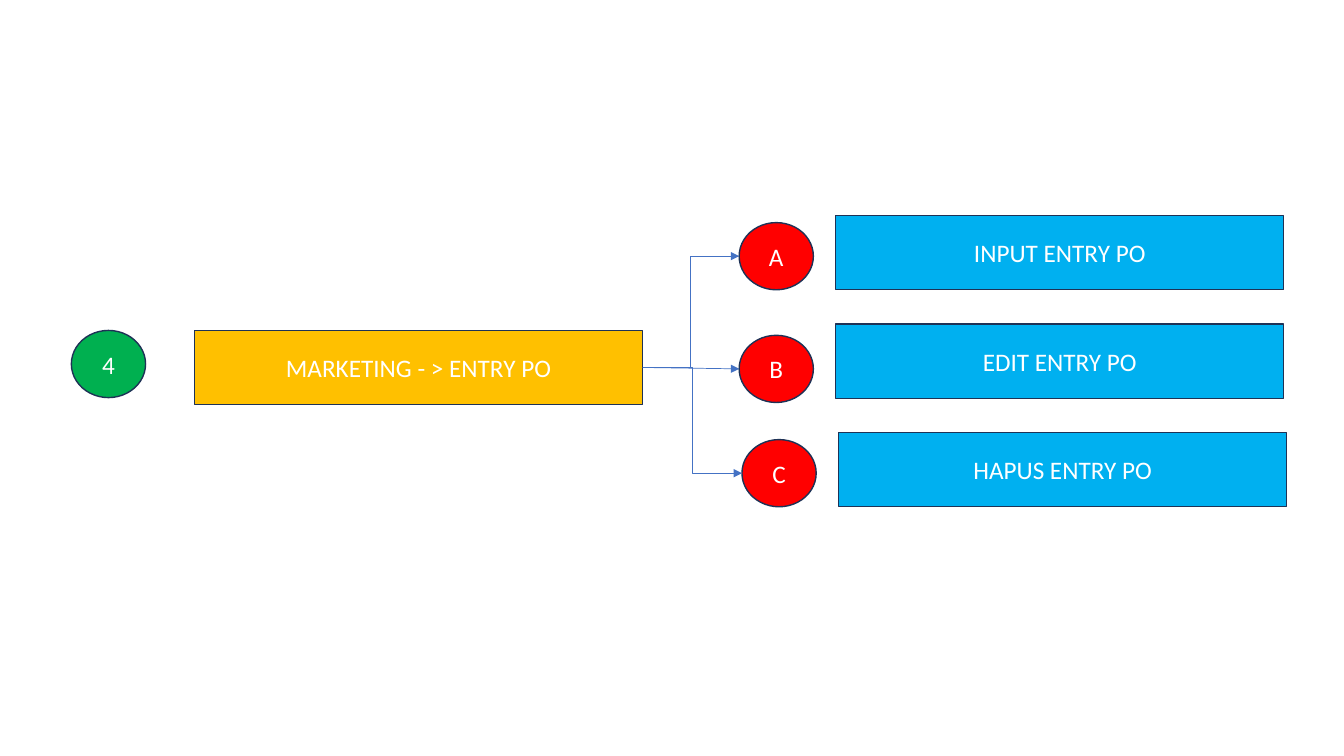
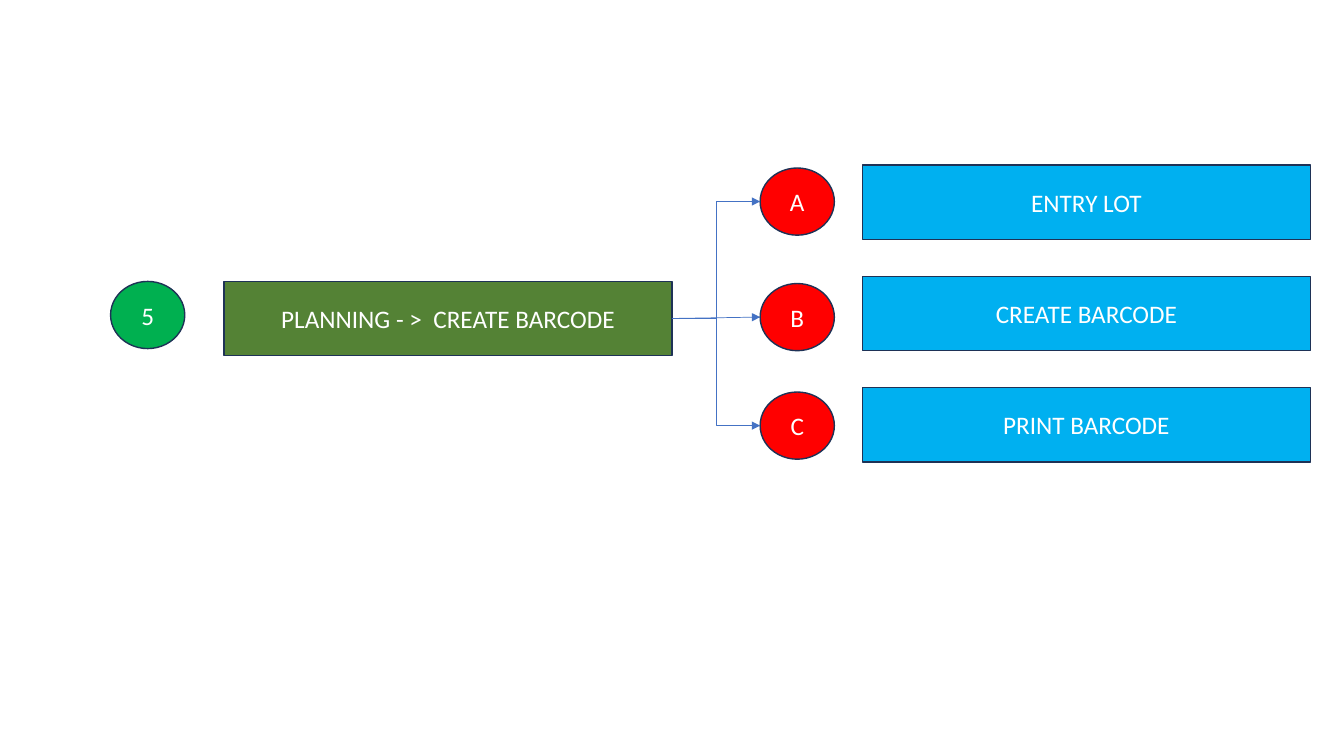
"""Build two process slides, each with a numbered menu branching into lettered steps."""
from dataclasses import dataclass

from lxml.etree import SubElement
from pptx import Presentation
from pptx.dml.color import RGBColor
from pptx.enum.shapes import MSO_CONNECTOR, MSO_SHAPE
from pptx.enum.text import MSO_ANCHOR, PP_ALIGN
from pptx.oxml.ns import qn
from pptx.util import Inches, Pt

COLORS = {
    "outline": "1E3256",
    "text": "FFFFFF",
    "arrow": "4472C4",
    "number": "00B050",
    "letter": "FF0000",
    "step": "00B0F0",
    "marketing": "FFC000",
    "planning": "548235",
}
FONT = "Calibri"
SLIDE_WIDTH, SLIDE_HEIGHT = Inches(13.333), Inches(7.5)
COLUMN, ROW = SLIDE_WIDTH / 96, SLIDE_HEIGHT / 54
BAR = (32, 5.3)
BADGE = (5.3, 4.8)
ELLIPSE_LEFT_SITE, RECTANGLE_RIGHT_SITE = 2, 3


@dataclass
class Process:
    number: str
    menu: str
    color: str
    number_column: float
    menu_column: float
    menu_row: float
    letter_column: float
    step_column: float
    first_row: float
    row_pitch: float
    steps: tuple
    letter_drops: tuple
    column_shifts: tuple = (0, 0, 0)


PROCESSES = (
    Process("4", "MARKETING - > ENTRY PO", "marketing",
            number_column=5.1, menu_column=13.9, menu_row=23.6,
            letter_column=52.8, step_column=59.7,
            first_row=15.4, row_pitch=7.75,
            steps=("INPUT ENTRY PO", "EDIT ENTRY PO", "HAPUS ENTRY PO"),
            letter_drops=(0.5, 0.8, 0.5), column_shifts=(0, 0, 0.2)),
    Process("5", "PLANNING - >  CREATE BARCODE", "planning",
            number_column=7.9, menu_column=16, menu_row=20.1,
            letter_column=54.3, step_column=61.6,
            first_row=11.8, row_pitch=7.95,
            steps=("ENTRY LOT", "CREATE BARCODE", "PRINT BARCODE"),
            letter_drops=(0.2, 0.5, 0.3)),
)


def rgb(name):
    return RGBColor.from_string(COLORS[name])


def write(shape, text, size=18, color="text", align=PP_ALIGN.CENTER):
    frame = shape.text_frame
    frame.word_wrap = True
    frame.vertical_anchor = MSO_ANCHOR.MIDDLE
    paragraph = frame.paragraphs[0]
    paragraph.alignment = align
    run = paragraph.add_run()
    run.text = text
    run.font.name = FONT
    run.font.size = Pt(size)
    run.font.color.rgb = rgb(color)


def add_label(slide, preset, text, column, row, size, fill):
    width, height = size
    label = slide.shapes.add_shape(
        preset, round(column * COLUMN), round(row * ROW),
        round(width * COLUMN), round(height * ROW))
    label.shadow.inherit = False
    label.fill.solid()
    label.fill.fore_color.rgb = rgb(fill)
    label.line.color.rgb = rgb("outline")
    label.line.width = Pt(1)
    write(label, text)
    return label


def add_bar(slide, text, column, row, fill):
    return add_label(slide, MSO_SHAPE.RECTANGLE, text, column, row, BAR, fill)


def add_badge(slide, text, column, row, fill):
    return add_label(slide, MSO_SHAPE.OVAL, text, column, row, BADGE, fill)


def add_arrow(slide, kind, menu, letter):
    arrow = slide.shapes.add_connector(kind, 0, 0, 0, 0)
    arrow.begin_connect(menu, RECTANGLE_RIGHT_SITE)
    arrow.end_connect(letter, ELLIPSE_LEFT_SITE)
    arrow.end_x = letter.left
    arrow.end_y = letter.top + letter.height // 2
    arrow.line.color.rgb = rgb("arrow")
    arrow.line.width = Pt(0.5)
    SubElement(arrow.line._get_or_add_ln(), qn("a:tailEnd"), type="triangle")
    SubElement(arrow._element.spPr, qn("a:effectLst"))


def add_process(slide, process):
    menu = add_bar(slide, process.menu, process.menu_column,
                   process.menu_row, process.color)
    add_badge(slide, process.number, process.number_column,
              process.menu_row, "number")
    branches = zip("ABC", process.steps, process.letter_drops,
                   process.column_shifts)
    for index, (mark, step, drop, shift) in enumerate(branches):
        row = process.first_row + index * process.row_pitch
        add_bar(slide, step, process.step_column + shift, row, "step")
        letter = add_badge(slide, mark, process.letter_column + shift,
                           row + drop, "letter")
        is_middle = index == len(process.steps) // 2
        kind = MSO_CONNECTOR.STRAIGHT if is_middle else MSO_CONNECTOR.ELBOW
        add_arrow(slide, kind, menu, letter)


def main():
    deck = Presentation()
    deck.slide_width, deck.slide_height = SLIDE_WIDTH, SLIDE_HEIGHT
    blank_layout = deck.slide_layouts[6]
    for process in PROCESSES:
        add_process(deck.slides.add_slide(blank_layout), process)
    deck.save("out.pptx")


if __name__ == "__main__":
    main()
